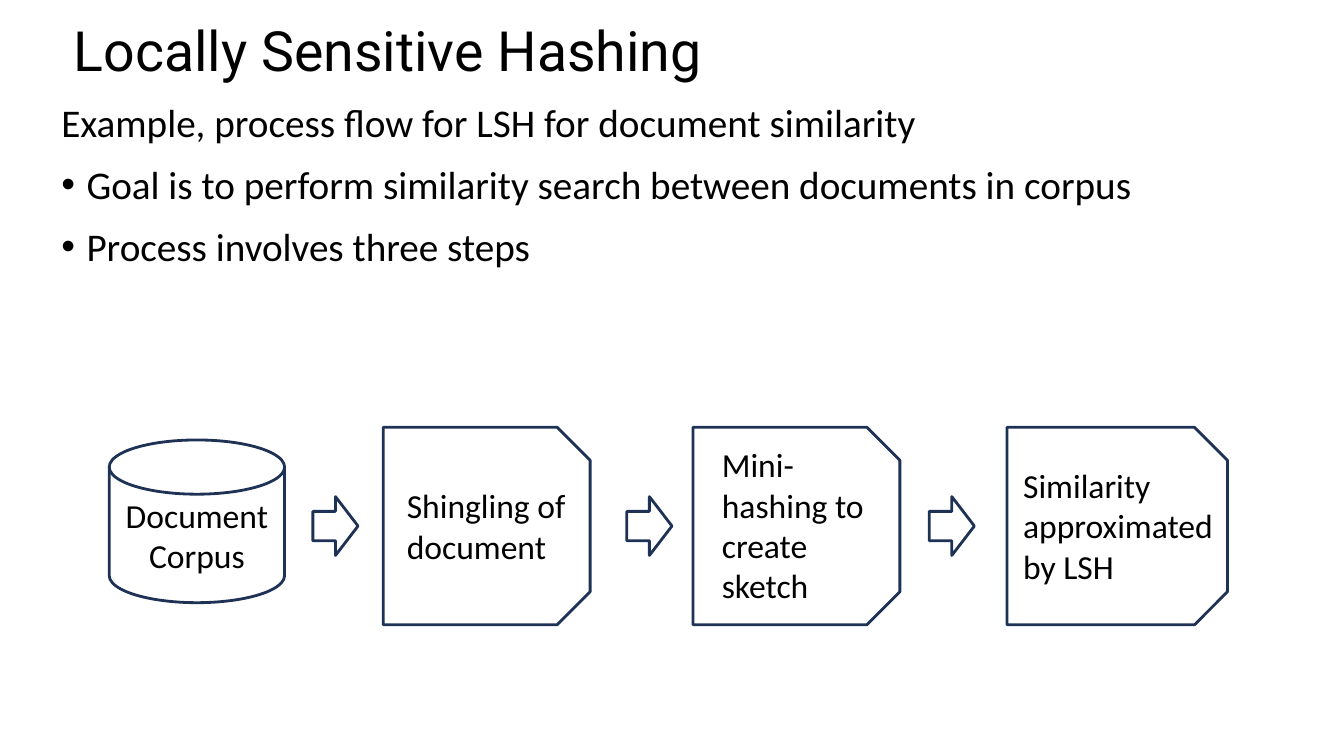
from dataclasses import dataclass

from lxml import etree
from pptx import Presentation
from pptx.dml.color import RGBColor
from pptx.enum.shapes import MSO_SHAPE as SHAPE
from pptx.enum.text import MSO_ANCHOR as ANCHOR, PP_ALIGN as ALIGN
from pptx.oxml.ns import qn
from pptx.util import Pt

PX = 9525  # EMU in one px


@dataclass(frozen=True)
class Theme:
    ink: RGBColor = RGBColor(0x00, 0x00, 0x00)
    outline: RGBColor = RGBColor(0x1E, 0x32, 0x56)
    line_width: float = 2
    head_font: str = "Roboto"
    body_font: str = "Calibri"
    head_size: float = 39.6
    body_size: float = 28
    step_size: float = 24


THEME = Theme()


def px(*lengths):
    return [round(n * PX) for n in lengths]


def write(p, text, size, name=THEME.body_font, **para):
    for key, value in para.items():
        setattr(p, key, value)
    r = p.add_run()
    r.text = text
    for key, value in {"name": name, "size": Pt(size)}.items():
        setattr(r.font, key, value)
    r.font.color.rgb = THEME.ink


def add_box(slide, x, y, w, h, anchor=ANCHOR.TOP):
    tf = slide.shapes.add_textbox(*px(x, y, w, h)).text_frame
    for key, value in {"word_wrap": True, "vertical_anchor": anchor}.items():
        setattr(tf, key, value)
    return tf


def add_outline(slide, kind, x, y, w, h, rotation=0):
    """Outlined shape that fills the given box once it is turned."""
    if rotation in (90, 270):
        shift = (w - h) / 2
        x, y, w, h = x + shift, y - shift, h, w
    sp = slide.shapes.add_shape(kind, *px(x, y, w, h))
    sp.rotation = rotation
    sp.shadow.inherit = False
    sp.fill.background()
    sp.line.color.rgb = THEME.outline
    sp.line.width = Pt(THEME.line_width)
    return sp


def add_bullet(p, indent):
    pPr = p._p.get_or_add_pPr()
    pPr.set("marL", str(indent * PX))
    pPr.set("indent", str(-indent * PX))
    etree.SubElement(pPr, qn("a:buFont")).set("typeface", "Arial")
    etree.SubElement(pPr, qn("a:buChar")).set("char", "•")


def add_title(slide, x, y, w, h):
    tf = add_box(slide, x, y, w, h, ANCHOR.MIDDLE)
    write(tf.paragraphs[0], "Locally Sensitive Hashing", THEME.head_size,
          THEME.head_font, line_spacing=0.9)


def add_body(slide, x, y, w, h):
    tf = add_box(slide, x, y, w, h)
    write(tf.paragraphs[0], "Example, process flow for LSH for document similarity",
          THEME.body_size, line_spacing=0.9)
    for text in ("Goal is to perform similarity search between documents in corpus",
                 "Process involves three steps"):
        p = tf.add_paragraph()
        add_bullet(p, 24)
        write(p, text, THEME.body_size, line_spacing=0.9, space_before=Pt(14))


def add_flow(slide, x, y, h):
    middle = y + h / 2

    # Document store
    disk_h = 155
    sp = add_outline(slide, SHAPE.FLOWCHART_MAGNETIC_DISK, x, y + 12, 167, disk_h)
    tf = sp.text_frame
    tf.word_wrap, tf.vertical_anchor = True, ANCHOR.MIDDLE
    write(tf.paragraphs[0], "Document Corpus", THEME.step_size, alignment=ALIGN.CENTER)

    # Step cards: left, width, label inset, label width, label lines
    steps = [
        ("Shingling of document", 261, 197, 13, 172, 2),
        ("Mini-hashing to create sketch", 556, 197, 18, 172, 4),
        ("Similarity approximated by LSH", 855, 210, 6, 201, 3),
    ]
    for text, left, w, inset, label_w, lines in steps:
        add_outline(slide, SHAPE.SNIP_2_SAME_RECTANGLE, x + left, y, w, h, 90)
        label_h = 39 * lines + 9
        tf = add_box(slide, x + left + inset, middle - label_h / 2, label_w, label_h)
        write(tf.paragraphs[0], text, THEME.step_size)

    # Arrows between the steps
    arrow_w, arrow_h = 43, 56
    for left in (194, 493, 781):
        add_outline(slide, SHAPE.DOWN_ARROW, x + left, middle - arrow_h / 2,
                    arrow_w, arrow_h, 270)


def main():
    prs = Presentation()
    prs.slide_width, prs.slide_height = px(1280, 720)
    slide = prs.slides.add_slide(prs.slide_layouts[6])
    add_title(slide, 61, 23, 1104, 56)
    add_body(slide, 49, 94, 1162, 281)
    add_flow(slide, 104, 407, 188)
    prs.save("out.pptx")


if __name__ == "__main__":
    main()
